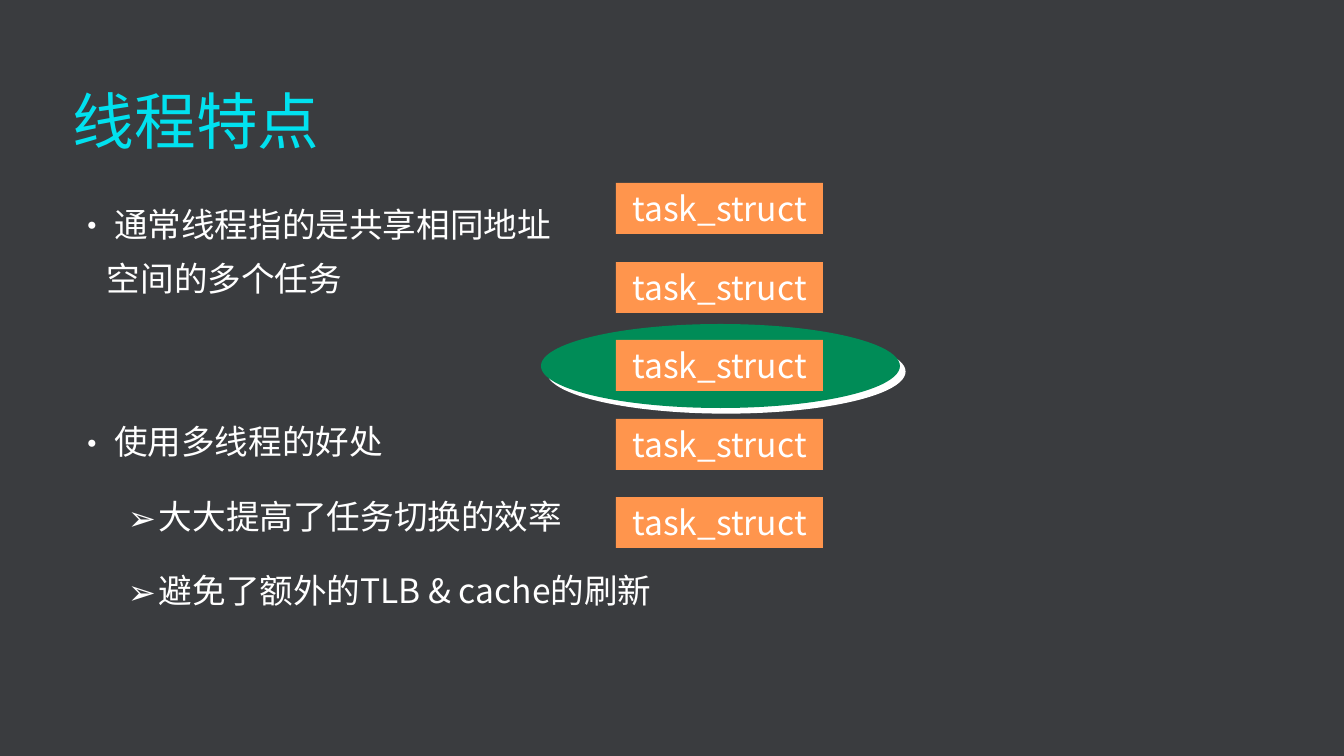
import math
from dataclasses import dataclass

from lxml import etree
from pptx import Presentation
from pptx import util as u
from pptx.dml.color import RGBColor
from pptx.enum import shapes, text
from pptx.oxml import ns

SCALE = 12192000 / 1344
FONT = "Noto Sans CJK SC"
BACKGROUND = RGBColor(0x3A, 0x3C, 0x3F)
CYAN = RGBColor(0x01, 0xE1, 0xEF)
WHITE = RGBColor(0xFF, 0xFF, 0xFF)
GREEN = RGBColor(0x00, 0x8C, 0x57)
ORANGE = RGBColor(0xFF, 0x95, 0x4D)

TASK_COUNT = 5
FIRST_TASK_TOP = 183
LAST_TASK_TOP = 497


@dataclass(frozen=True)
class Frame:
    left: int
    top: int
    width: int
    height: int


@dataclass(frozen=True)
class Line:
    words: str
    size: int = 24
    color: RGBColor = WHITE
    margin: int = 0
    hanging: int = 0
    bullet: str = ""
    spacing: float = 1.0
    before: float = 5
    after: float = 5


TITLE = [Line("线程特点", size=44, color=CYAN, before=6.2, after=0)]
POINTS = [
    Line("通常线程指的是共享相同地址", margin=38, hanging=38, bullet="•"),
    Line("空间的多个任务", margin=31),
    Line("使用多线程的好处", margin=38, hanging=38, bullet="•", before=82.6),
    Line("大大提高了任务切换的效率", margin=83, hanging=31, bullet="➢", spacing=1.5),
    Line("避免了额外的TLB & cache的刷新", margin=83, hanging=31, bullet="➢", spacing=1.5),
]


def px(length: int) -> int:
    """Turn a length in px into EMU."""
    return round(length * SCALE)


def place(frame: Frame) -> tuple[int, int, int, int]:
    """Return the frame's position and size in EMU."""
    return px(frame.left), px(frame.top), px(frame.width), px(frame.height)


def style_span(span, size: int, color: RGBColor) -> None:
    """Set size, colour and typeface of a run."""
    span.font.size = u.Pt(size)
    span.font.color.rgb = color
    span.font.name = FONT
    etree.SubElement(span.font._element, ns.qn("a:ea"), typeface=FONT)


def write_line(para, line: Line) -> None:
    """Fill one paragraph with its words, spacing, indent and bullet."""
    para.text = line.words
    para.line_spacing = line.spacing
    para.space_before = u.Pt(line.before)
    para.space_after = u.Pt(line.after)
    properties = para._p.get_or_add_pPr()
    properties.set("marL", str(px(line.margin)))
    properties.set("indent", str(-px(line.hanging)))
    if line.bullet:
        etree.SubElement(properties, ns.qn("a:buFont"), typeface=FONT)
        etree.SubElement(properties, ns.qn("a:buChar"), char=line.bullet)
    style_span(para.runs[0], line.size, line.color)


def add_text(page, frame: Frame, lines: list[Line], inset: tuple[int, int]) -> None:
    """Add a text box holding the given lines."""
    box = page.shapes.add_textbox(*place(frame))
    body = box.text_frame
    body.word_wrap = True
    body.margin_left = body.margin_right = px(inset[0])
    body.margin_top = body.margin_bottom = px(inset[1])
    for index, line in enumerate(lines):
        para = body.add_paragraph() if index else body.paragraphs[0]
        write_line(para, line)


def add_plain_shape(page, kind: shapes.MSO_SHAPE, frame: Frame, color: RGBColor):
    """Add a filled shape without outline or shadow."""
    shape = page.shapes.add_shape(kind, *place(frame))
    shape.shadow.inherit = False
    shape.fill.solid()
    shape.fill.fore_color.rgb = color
    shape.line.fill.background()
    return shape


def add_highlight(page, frame: Frame) -> None:
    """Add the green ellipse with its hard white shadow."""
    ellipse = add_plain_shape(page, shapes.MSO_SHAPE.OVAL, frame, GREEN)
    effects = ellipse._element.spPr.find(ns.qn("a:effectLst"))
    shadow = etree.SubElement(
        effects, ns.qn("a:outerShdw"), blurRad="0", dist=str(u.Pt(5.7)),
        dir="2700000", algn="ctr", rotWithShape="0",
    )
    etree.SubElement(shadow, ns.qn("a:srgbClr"), val=str(WHITE))


def add_task(page, frame: Frame) -> None:
    """Add one orange task_struct box."""
    box = add_plain_shape(page, shapes.MSO_SHAPE.RECTANGLE, frame, ORANGE)
    body = box.text_frame
    body.text = "task_struct"
    body.vertical_anchor = text.MSO_ANCHOR.MIDDLE
    body.margin_top = body.margin_bottom = 0
    para = body.paragraphs[0]
    para.alignment = text.PP_ALIGN.CENTER
    style_span(para.runs[0], 24, WHITE)


def main() -> None:
    """Build the slide and save it."""
    deck = Presentation()
    deck.slide_width, deck.slide_height = px(1344), px(756)
    page = deck.slides.add_slide(deck.slide_layouts[6])
    page.background.fill.solid()
    page.background.fill.fore_color.rgb = BACKGROUND
    add_text(page, Frame(63, 197, 706, 475), POINTS, (13, 7))
    add_text(page, Frame(63, 78, 1143, 55), TITLE, (10, 5))
    add_highlight(page, Frame(541, 324, 359, 84))
    pitch = (LAST_TASK_TOP - FIRST_TASK_TOP) / (TASK_COUNT - 1)
    for index in range(TASK_COUNT):
        top = FIRST_TASK_TOP + math.ceil(pitch * index)
        add_task(page, Frame(616, top, 207, 51))
    deck.save("out.pptx")


if __name__ == "__main__":
    main()
